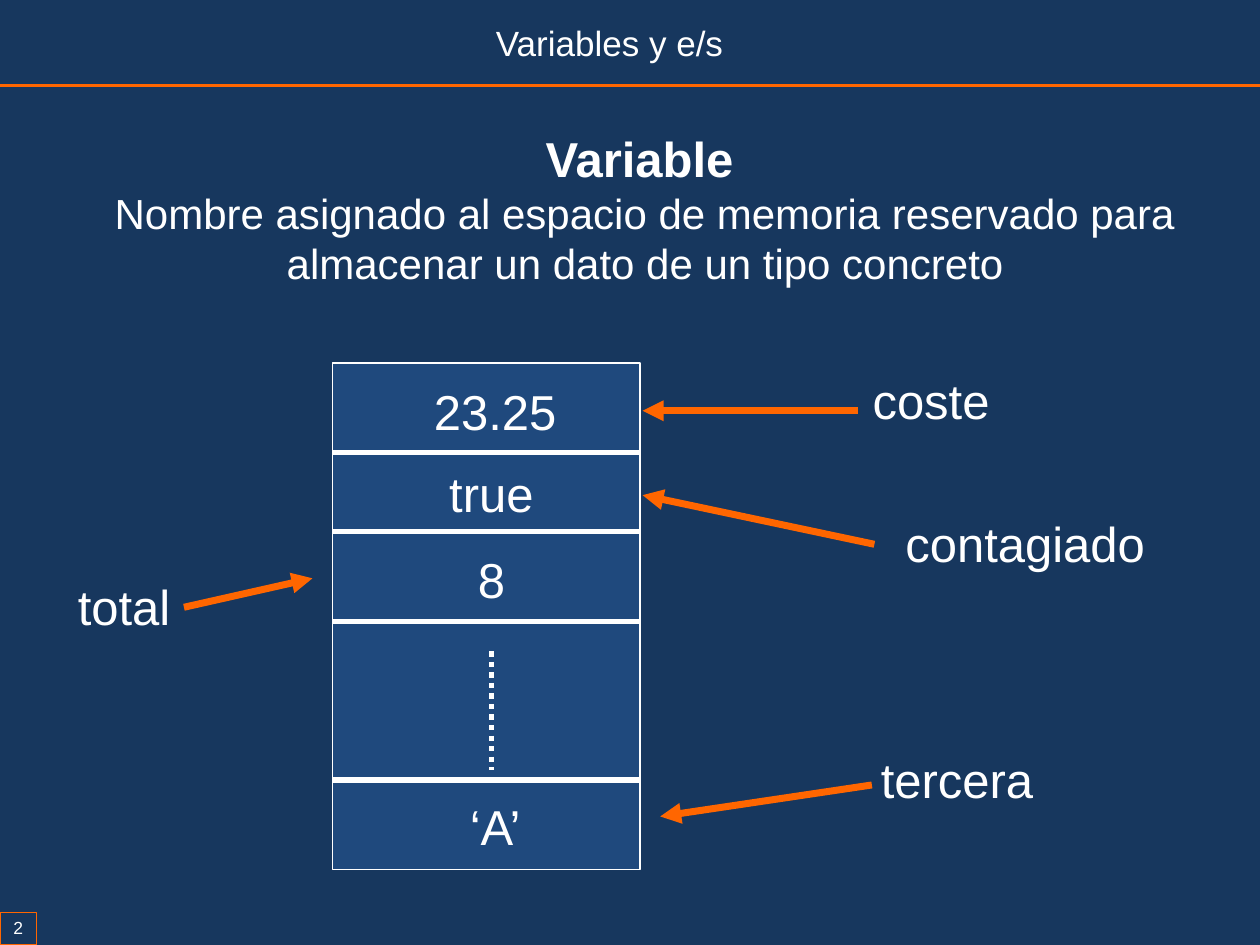
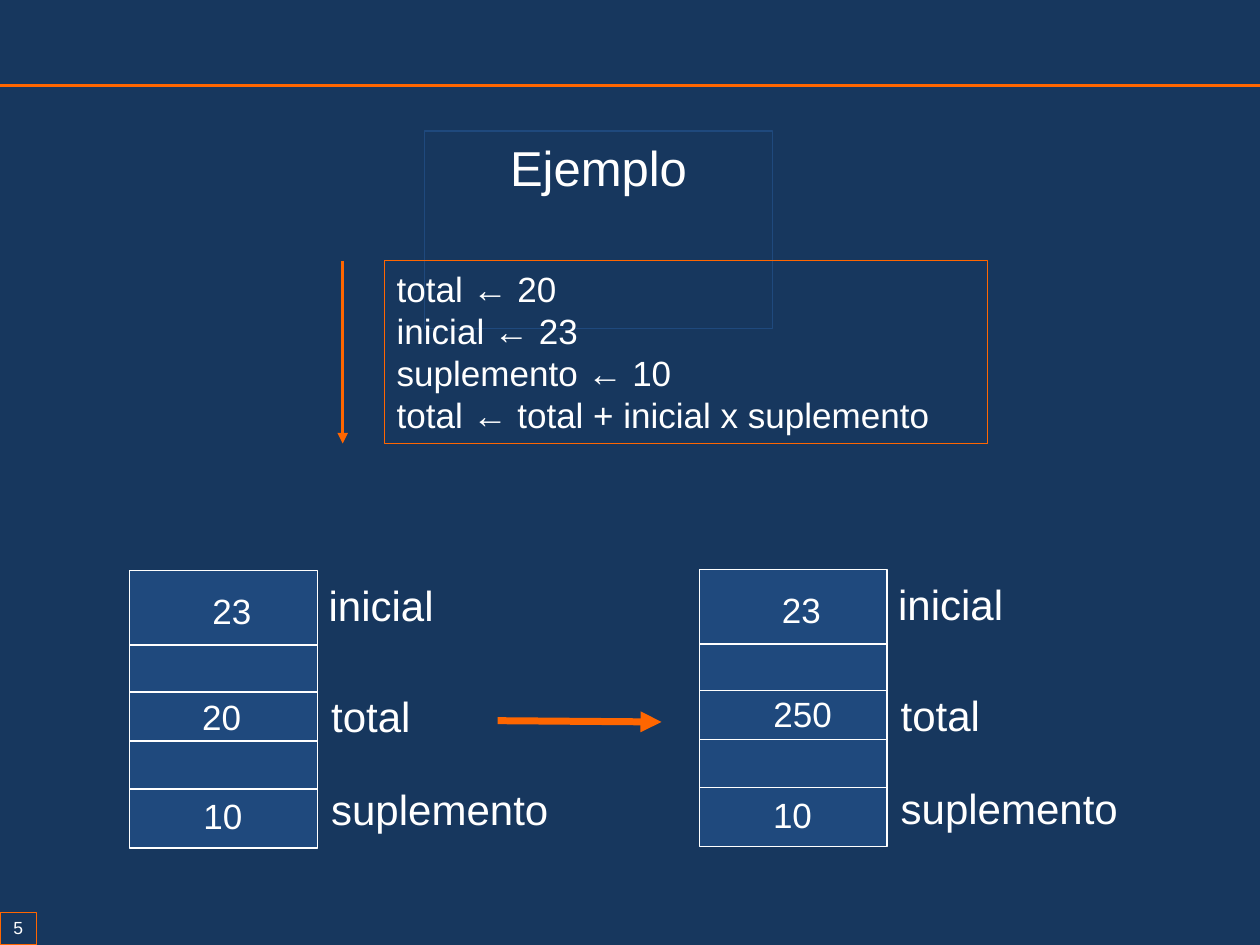
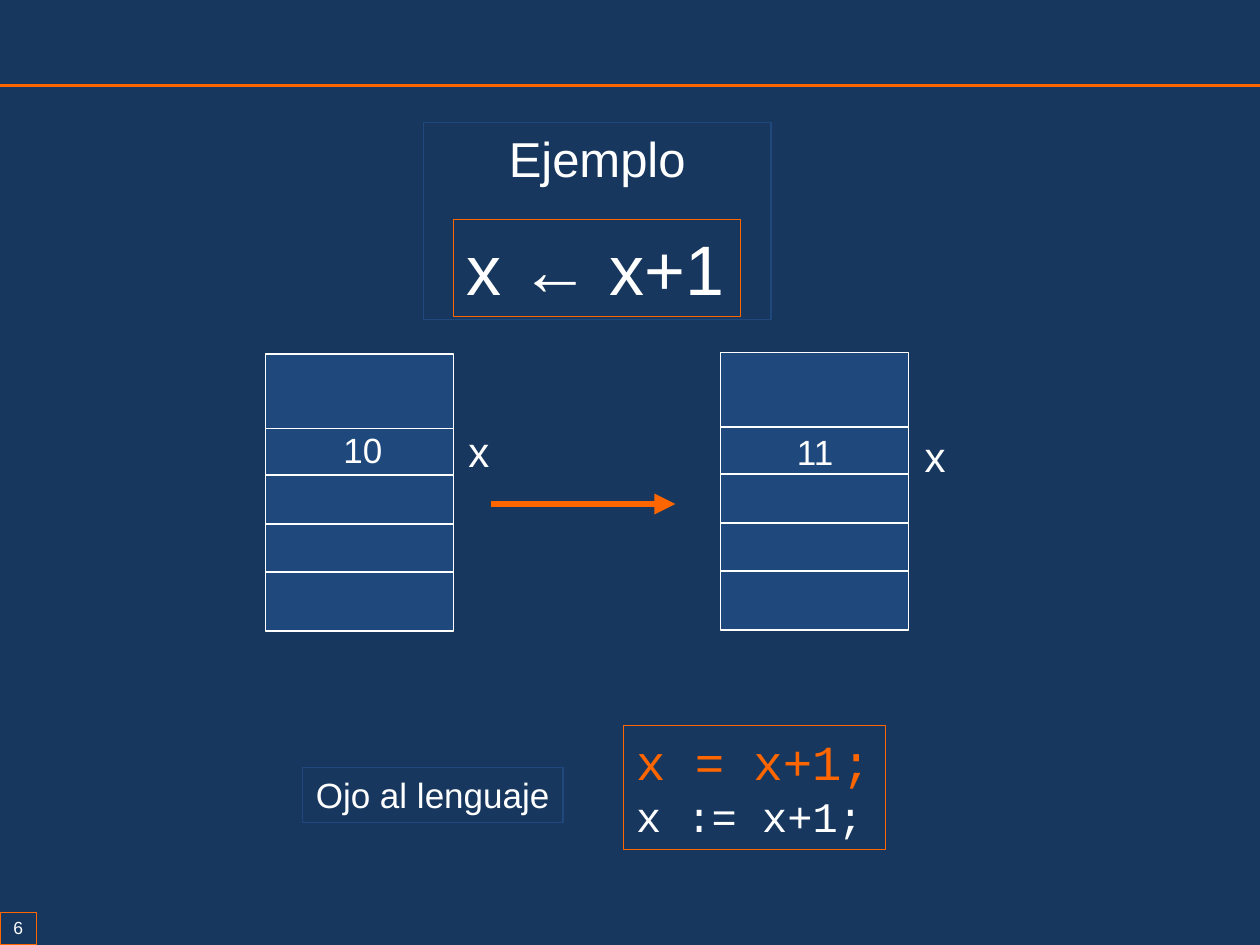
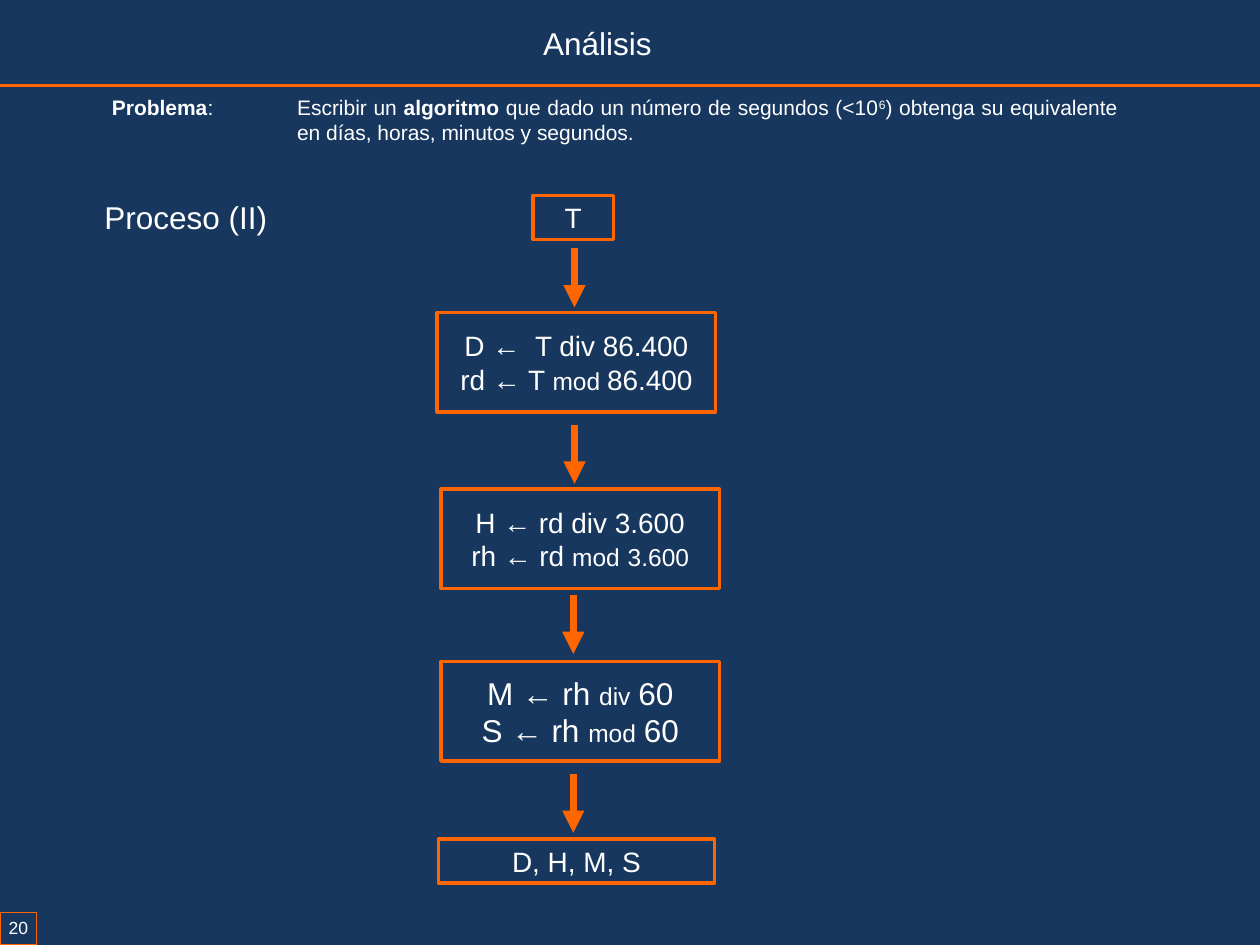
from dataclasses import dataclass, replace
from typing import Optional

from pptx import Presentation
from pptx.dml.color import RGBColor
from pptx.enum.dml import MSO_LINE
from pptx.enum.shapes import MSO_CONNECTOR, MSO_SHAPE
from pptx.enum.text import MSO_ANCHOR, MSO_AUTO_SIZE, PP_ALIGN
from pptx.oxml.ns import qn
from pptx.slide import Slide, SlideLayout
from pptx.util import Inches, Pt
from lxml.etree import SubElement

# Shared look: a grid of 100 columns by 75 rows covers the slide
COLUMNS, ROWS = 100, 75
WIDTH, HEIGHT = Inches(10), Inches(7.5)
COLORS = {"navy": "17375E", "cell": "1F497D", "orange": "FF6600", "white": "FFFFFF"}
SANS, MONO = "Arial", "Courier New"
CENTER, LEFT, RIGHT = PP_ALIGN.CENTER, PP_ALIGN.LEFT, PP_ALIGN.RIGHT
TITLE_ONLY = 5


@dataclass(frozen=True)
class Span:
    text: str
    size: float
    color: str = "white"
    bold: bool = False
    font: str = SANS
    raised: bool = False


@dataclass(frozen=True)
class Para:
    spans: tuple[Span, ...]
    align: PP_ALIGN = CENTER
    margin: float = 0  # columns
    indent: float = 0  # columns


@dataclass(frozen=True)
class Box:
    left: float
    top: float
    width: float
    height: float
    paras: tuple[Para, ...] = ()
    wrap: bool = True
    frame: Optional[str] = None
    frame_width: float = 0.75
    fill: Optional[str] = None
    middle: bool = False
    insets: Optional[tuple[float, float]] = None


@dataclass(frozen=True)
class Line:
    start: tuple[float, float]
    end: tuple[float, float]
    color: str = "orange"
    width: float = 4
    arrow: bool = True
    dotted: bool = False


@dataclass(frozen=True)
class Memory:
    left: float
    top: float
    width: float = 14.9
    height: float = 22
    dividers: tuple[float, ...] = (5.9, 9.6, 13.5, 17.3)
    divider_width: float = 1


def col(count: float) -> int:
    return round(WIDTH * count / COLUMNS)


def row(count: float) -> int:
    return round(HEIGHT * count / ROWS)


def rgb(name: str) -> RGBColor:
    return RGBColor.from_string(COLORS[name])


def plain(text: str, size: float, align: PP_ALIGN = CENTER) -> tuple[Para, ...]:
    """One paragraph of one white span."""
    return (Para((Span(text, size),), align),)


def sized(*parts: tuple[str, float]) -> Para:
    """A centred paragraph whose spans differ in size."""
    return Para(tuple(Span(text, size) for text, size in parts))


# Drawing
def write_para(para, content: Para) -> None:
    para.alignment = content.align
    if content.margin:
        properties = para._p.get_or_add_pPr()
        properties.set("marL", str(col(content.margin)))
        properties.set("indent", str(col(content.indent)))
    for span in content.spans:
        run = para.add_run()
        run.text = span.text
        run.font.name = span.font
        run.font.size = Pt(span.size)
        run.font.bold = span.bold
        run.font.color.rgb = rgb(span.color)
        if span.raised:
            run.font._element.set("baseline", "30000")


def format_box(shape, box: Box) -> None:
    shape.left, shape.top = col(box.left), row(box.top)
    shape.width, shape.height = col(box.width), row(box.height)
    if box.fill:
        shape.fill.solid()
        shape.fill.fore_color.rgb = rgb(box.fill)
    else:
        shape.fill.background()
    if box.frame:
        shape.line.color.rgb = rgb(box.frame)
        shape.line.width = Pt(box.frame_width)
    if not box.paras:
        return
    frame = shape.text_frame
    frame.word_wrap = box.wrap
    frame.auto_size = MSO_AUTO_SIZE.NONE if box.middle else MSO_AUTO_SIZE.SHAPE_TO_FIT_TEXT
    frame.vertical_anchor = MSO_ANCHOR.MIDDLE if box.middle else MSO_ANCHOR.TOP
    if box.insets:
        frame.margin_left = frame.margin_right = col(box.insets[0])
        frame.margin_top = frame.margin_bottom = row(box.insets[1])
    for index, content in enumerate(box.paras):
        write_para(frame.add_paragraph() if index else frame.paragraphs[0], content)


def draw_box(page: Slide, box: Box) -> None:
    place = col(box.left), row(box.top), col(box.width), row(box.height)
    if box.frame:
        shape = page.shapes.add_shape(MSO_SHAPE.RECTANGLE, *place)
        shape.shadow.inherit = False
    else:
        shape = page.shapes.add_textbox(*place)
    format_box(shape, box)


def draw_line(page: Slide, line: Line):
    connector = page.shapes.add_connector(
        MSO_CONNECTOR.STRAIGHT,
        col(line.start[0]), row(line.start[1]), col(line.end[0]), row(line.end[1]))
    connector.line.color.rgb = rgb(line.color)
    connector.line.width = Pt(line.width)
    if line.dotted:
        connector.line.dash_style = MSO_LINE.ROUND_DOT
    properties = connector.element.spPr
    if line.arrow:
        SubElement(properties.find(qn("a:ln")), qn("a:tailEnd"), type="triangle")
    SubElement(properties, qn("a:effectLst"))
    return connector


def draw_memory(page: Slide, memory: Memory) -> None:
    draw_box(page, Box(memory.left, memory.top, memory.width, memory.height,
                       frame="white", fill="cell"))
    for offset in memory.dividers:
        y = memory.top + offset
        draw_line(page, Line((memory.left, y), (memory.left + memory.width, y),
                             "white", memory.divider_width, arrow=False))


def draw_value(page: Slide, text: str, left: float, top: float, size: float = 20) -> None:
    draw_box(page, Box(left, top, 13.4, 5.7 if size > 20 else 4.4, plain(text, size)))


def add_page(deck, number: int, title: Box) -> Slide:
    page = deck.slides.add_slide(deck.slide_layouts[TITLE_ONLY])
    format_box(page.shapes.title, title)
    draw_box(page, Box(0, 72.4, 2.9, 2.6, plain(str(number), 10), wrap=False,
                       frame="orange", insets=(0.2, 0.4)))
    return page


def example_title(left: float, top: float) -> Box:
    return Box(left, top, 27.6, 5.7, plain("Ejemplo", 28), frame="cell")


def set_band(layout: SlideLayout, page: Slide) -> None:
    """Put the orange rule on the layout that every page uses."""
    rule = draw_line(page, Line((0, 6.8), (COLUMNS, 6.8), width=2, arrow=False))
    layout.shapes.element.append(rule.element)


# Pages
def build_variable(deck) -> Slide:
    page = add_page(deck, 2, Box(38.2, 1.2, 20.2, 4.4,
                                 plain("Variables y e/s", 20, RIGHT), wrap=False))
    definition = ("Nombre asignado al espacio de memoria reservado para "
                  "almacenar un dato de un tipo concreto")
    draw_box(page, Box(4.7, 9.7, 92.1, 13.8, (
        Para((Span("Variable", 28, bold=True),), CENTER, 20.7, -20.7),
        Para((Span(definition, 24),), CENTER, 0.9, -0.1))))

    draw_memory(page, Memory(26.4, 28.8, 24.4, 40.2, (7.1, 13.4, 20.5, 33.1), 3))
    draw_line(page, Line((39, 51.7), (39, 61.1), "white", 3, arrow=False, dotted=True))
    for text, left, top in (("23.25", 32.6, 29.8), ("true", 32.3, 36.3),
                            ("8", 32.3, 43.1), ("‘A’", 32.6, 62.7)):
        draw_value(page, text, left, top, 28)

    # Variable names, each with an arrow to its cell
    names = (
        ("total", 2, 45.3, 15.7, (14.6, 48.2), (24.8, 45.9)),
        ("coste", 62.6, 28.9, 22.6, (68.1, 32.6), (51, 32.6)),
        ("contagiado", 69.4, 40.3, 23.9, (69.4, 43.2), (51, 39.3)),
        ("tercera", 68.1, 59, 15.7, (69.2, 62.3), (52.4, 64.8)),
    )
    for name, left, top, width, start, end in names:
        draw_box(page, Box(left, top, width, 5.7, plain(name, 28)))
        draw_line(page, Line(start, end))
    return page


def build_assignment(deck) -> None:
    page = add_page(deck, 5, example_title(33.7, 10.4))
    code = ("total ← 20", "inicial ← 23", "suplemento ← 10",
            "total ← total + inicial x suplemento")
    draw_box(page, Box(30.5, 20.7, 47.9, 14.5,
                       tuple(Para((Span(text, 20),), LEFT) for text in code),
                       frame="orange"))
    draw_line(page, Line((27.2, 20.7), (27.2, 35.2), width=2))

    # Memory before and after; the total moves with its digits
    before, after = Memory(10.3, 45.3), Memory(55.5, 45.2)
    for memory, total, shift in ((before, "20", 6), (after, "250", 6.8)):
        draw_memory(page, memory)
        total_left = memory.left + (0.6 if total == "20" else 1.5)
        total_top = memory.top + (9.4 if total == "20" else 9.3)
        draw_value(page, "23", memory.left + 1.4, memory.top + 1)
        draw_value(page, total, total_left, total_top)
        draw_value(page, "10", memory.left + 0.7, memory.top + 17.3)
        for name, x, y, width in (("inicial", 14.8, 0.2, 10.5), ("total", 15, 9, 8.4),
                                  ("suplemento", 15, 16.4, 19.4)):
            draw_box(page, Box(memory.left + x, memory.top + y, width, 5,
                               plain(name, 24, LEFT), wrap=False))
    draw_line(page, Line((39.5, 57.2), (52.5, 57.3)))


def build_increment(deck) -> None:
    page = add_page(deck, 6, example_title(33.6, 9.7))
    draw_box(page, Box(36, 17.4, 22.8, 7.7, plain("x ← x+1", 40, LEFT),
                       wrap=False, frame="orange"))

    # Memory before and after
    for memory, value, x, y, name_x, name_y in (
            (Memory(21.1, 28.1), "10", 1, 5.4, 15.1, 5.2),
            (Memory(57.2, 28), "11", 0.8, 5.7, 15.2, 5.7)):
        draw_memory(page, memory)
        draw_value(page, value, memory.left + x, memory.top + y)
        draw_box(page, Box(memory.left + name_x, memory.top + name_y, 3.7, 5,
                           plain("x", 24, LEFT), wrap=False))
    draw_line(page, Line((39, 40), (53.6, 40)))

    # Syntax depends on the language
    draw_box(page, Box(24, 60.9, 20.7, 4.4, plain("Ojo al lenguaje", 20),
                       wrap=False, frame="cell"))
    draw_box(page, Box(49.5, 57.6, 20.8, 9.8, (
        Para((Span("x = x+1;", 28, "orange", font=MONO),), LEFT),
        Para((Span("x := x+1;", 24, font=MONO),), LEFT)), wrap=False, frame="orange"))


def build_analysis(deck) -> None:
    page = add_page(deck, 20, Box(42.1, 1.4, 10.7, 4, plain("Análisis", 18, LEFT), wrap=False))
    draw_box(page, Box(7, 7, 82.7, 5, (Para((
        Span("Problema", 12, bold=True),
        Span(":\tEscribir un ", 12),
        Span("algoritmo", 12, bold=True),
        Span(" que dado un número de segundos (<10", 12),
        Span("6", 12, raised=True),
        Span(") obtenga su equivalente en días, horas, minutos y segundos.", 12),
    ), PP_ALIGN.JUSTIFY, 15.6, -14.7),)))
    draw_box(page, Box(7.3, 15.2, 15.1, 4, plain("Proceso (II)", 18, LEFT), wrap=False))

    # Flow of steps
    step = Box(35, 0, 22.1, 7.9, frame="orange", frame_width=2, fill="navy", middle=True)
    steps = (
        replace(step, left=42.3, top=15.5, width=6.4, height=3.5, paras=plain("T", 16)),
        replace(step, left=34.7, top=24.8, paras=(
            sized(("D ←  T div 86.400", 16)),
            sized(("rd ← T ", 16), ("mod ", 14), ("86.400", 16)))),
        replace(step, top=38.8, paras=(
            sized(("H ← rd div 3.600", 16)),
            sized(("rh ← rd ", 16), ("mod", 14), (" ", 16), ("3.600", 14)))),
        replace(step, top=52.5, paras=(
            sized(("M ← rh ", 18), ("div", 14), (" ", 16), ("60", 18)),
            sized(("S ← rh ", 18), ("mod", 14), (" ", 16), ("60", 18)))),
        replace(step, left=34.8, top=66.6, width=21.9, height=3.5,
                paras=plain("D, H, M, S", 16)),
    )
    for box in steps:
        draw_box(page, box)
    for x, top in ((45.6, 19.7), (45.6, 33.7), (45.5, 47.2), (45.5, 61.4)):
        draw_line(page, Line((x, top), (x, top + 4.7), width=4.25))


def main() -> None:
    deck = Presentation()
    deck.slide_width, deck.slide_height = WIDTH, HEIGHT
    background = deck.slide_master.background.fill
    background.solid()
    background.fore_color.rgb = rgb("navy")

    first_page = build_variable(deck)
    set_band(deck.slide_layouts[TITLE_ONLY], first_page)
    build_assignment(deck)
    build_increment(deck)
    build_analysis(deck)
    deck.save("out.pptx")


if __name__ == "__main__":
    main()
